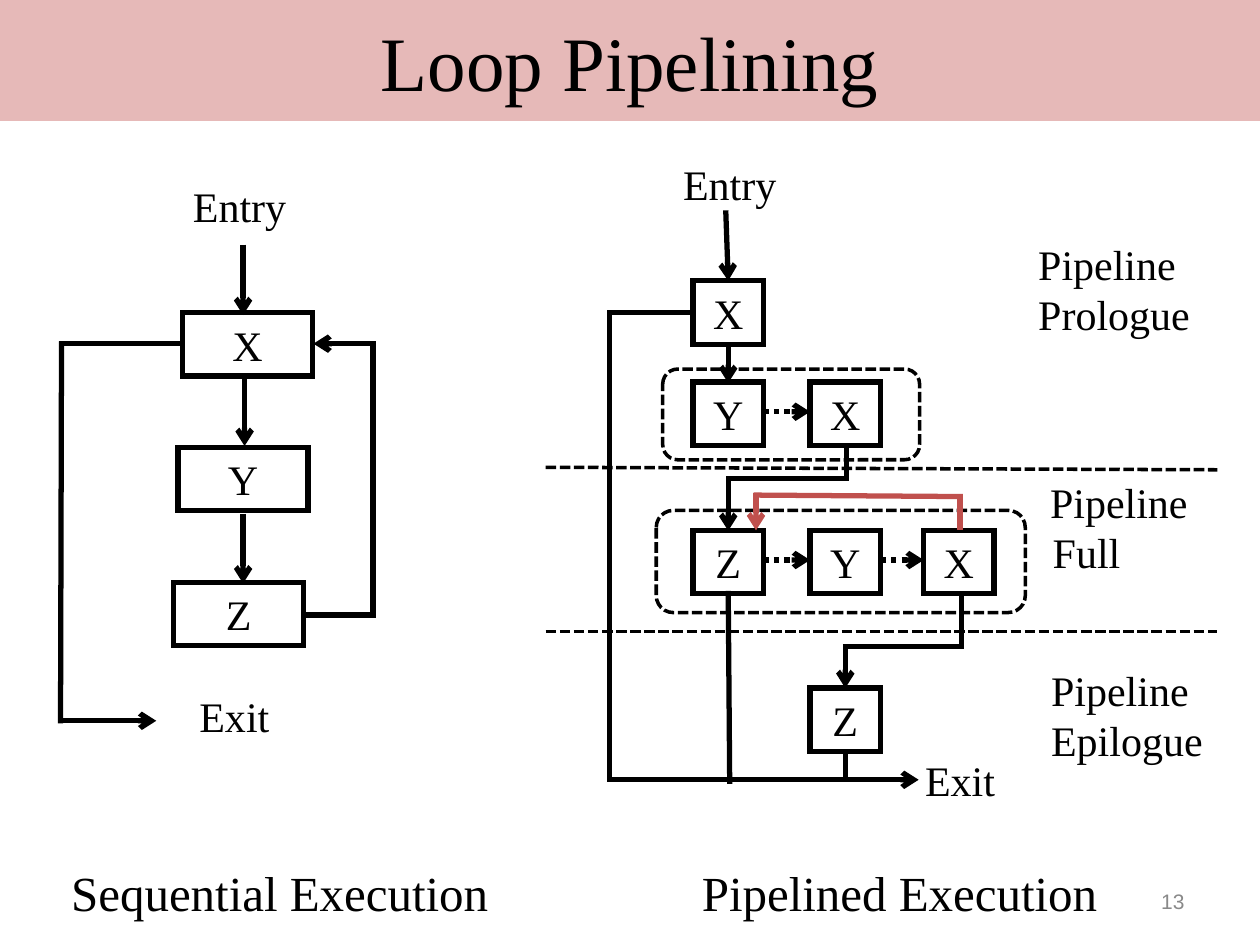
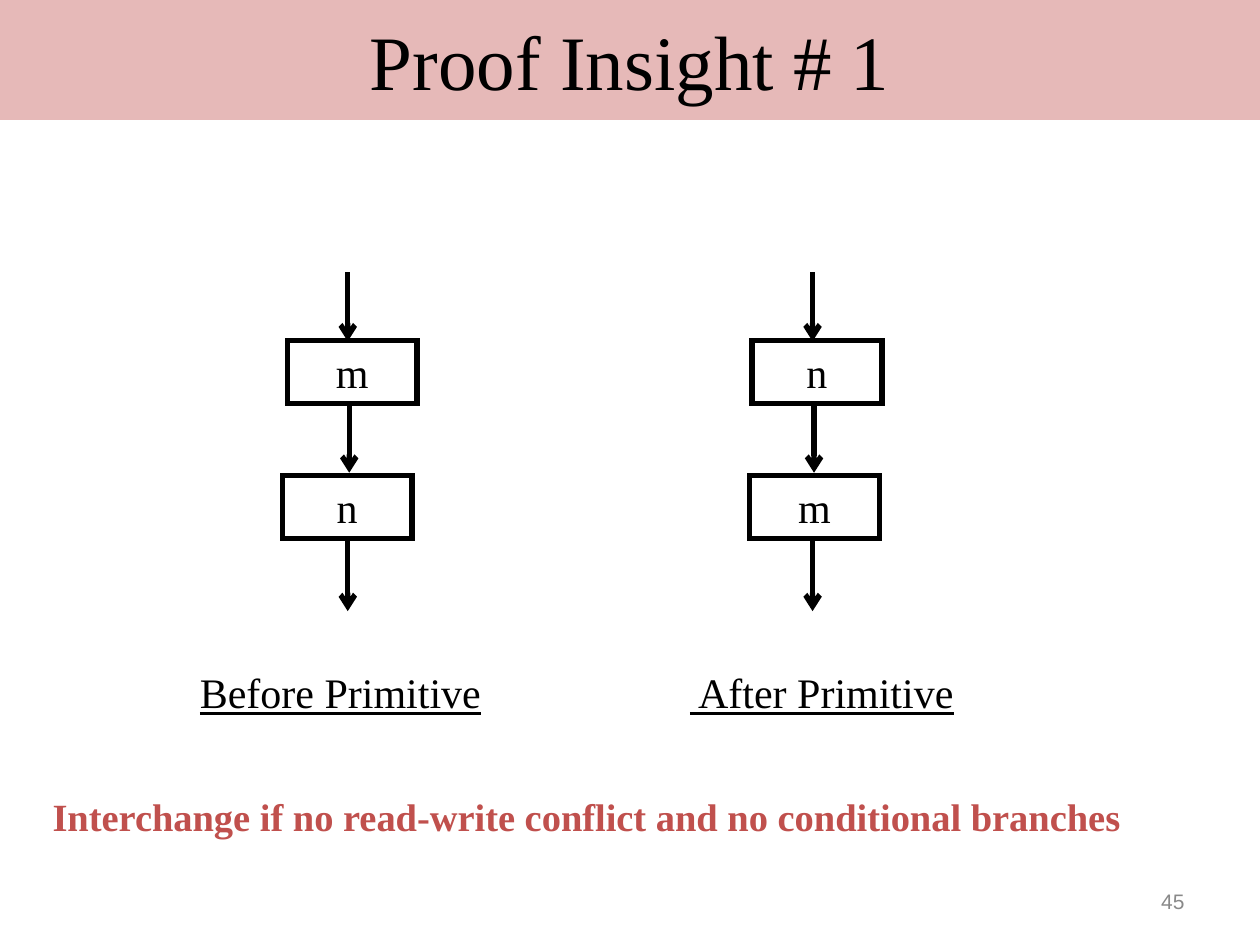
import pptx
import pptx.util
import pptx.dml.color
import pptx.enum.dml
import pptx.enum.shapes
import pptx.enum.text
import pptx.oxml.ns
import lxml.etree

Cm = pptx.util.Cm
Pt = pptx.util.Pt
RGBColor = pptx.dml.color.RGBColor
SHAPE = pptx.enum.shapes.MSO_SHAPE
CONNECTOR = pptx.enum.shapes.MSO_CONNECTOR
ANCHOR = pptx.enum.text.MSO_ANCHOR
ALIGN = pptx.enum.text.PP_ALIGN
DASH = pptx.enum.dml.MSO_LINE.SQUARE_DOT
DOT = pptx.enum.dml.MSO_LINE.ROUND_DOT
qualified = pptx.oxml.ns.qn

BLACK = RGBColor(0, 0, 0)
RED = RGBColor(0xC0, 0x50, 0x4D)
GREY = RGBColor(0x89, 0x89, 0x89)
BAND = RGBColor(0xE6, 0xB9, 0xB8)
SERIF = "Times New Roman"
SANS = "Arial"


def write(box, text, size=24, font=SERIF, color=BLACK, align=ALIGN.LEFT,
          anchor=ANCHOR.TOP, margins=(0.13, 0.05), bold=False, underline=False):
    frame = box.text_frame
    frame.text = text
    frame.word_wrap = True
    frame.auto_size = pptx.enum.text.MSO_AUTO_SIZE.NONE
    frame.vertical_anchor = anchor
    frame.margin_left = frame.margin_right = Cm(margins[0])
    frame.margin_top = frame.margin_bottom = Cm(margins[1])
    for para in frame.paragraphs:
        para.alignment = align
        for span in para.runs:
            span.font.size = Pt(size)
            span.font.name = font
            span.font.color.rgb = color
            span.font.bold = bold
            span.font.underline = underline


def draw_line(page, x1, y1, x2, y2, arrow=False, color=BLACK, width=3, dash=None, bend=None):
    kind = CONNECTOR.STRAIGHT if bend is None else CONNECTOR.ELBOW
    line = page.shapes.add_connector(kind, Cm(x1), Cm(y1), Cm(x2), Cm(y2))
    line.line.color.rgb = color
    line.line.width = Pt(width)
    if dash is not None:
        line.line.dash_style = dash
    outline = line.line._get_or_add_ln()
    lxml.etree.SubElement(outline, qualified("a:miter"), lim="800000")
    if arrow:
        lxml.etree.SubElement(outline, qualified("a:tailEnd"), type="arrow")
    properties = line._element.spPr
    lxml.etree.SubElement(properties, qualified("a:effectLst"))
    if bend is not None:
        guides = properties.find(qualified("a:prstGeom")).get_or_add_avLst()
        lxml.etree.SubElement(guides, qualified("a:gd"), name="adj1",
                              fmla=f"val {round(bend * 100000)}")
    return line


deck = pptx.Presentation()
deck.slide_width = Cm(25.4)
deck.slide_height = Cm(19.05)

pages = []
for title, number, top in [("Loop Pipelining", "13", 0), ("Proof Insight # 1", "45", -0.02)]:
    page = deck.slides.add_slide(deck.slide_layouts[5])
    band = page.shapes.title
    band.left, band.top, band.width, band.height = Cm(0), Cm(top), Cm(25.4), Cm(2.44)
    band.fill.solid()
    band.fill.fore_color.rgb = BAND
    write(band, title, 44, align=ALIGN.CENTER, anchor=ANCHOR.MIDDLE, margins=(0.25, 0.13))
    box = page.shapes.add_textbox(Cm(18.21), Cm(17.65), Cm(5.92), Cm(1.02))
    write(box, number, 12, SANS, GREY, ALIGN.RIGHT, ANCHOR.MIDDLE, (0.25, 0.13))
    pages.append(page)
loop_page, proof_page = pages

sequential = [(loop_page, name, 3.68 - 0.09 * row, 6.3 + 2.72 * row, 2.62)
              for row, name in enumerate("XYZ")]
columns = [13.97, 16.33, 18.62]
pipelined = [(loop_page, name, columns[column], top, 1.42)
             for name, column, top in [("X", 0, 5.66), ("Y", 0, 7.7), ("X", 1, 7.7),
                                       ("Z", 0, 10.69), ("Y", 1, 10.69), ("X", 2, 10.69),
                                       ("Z", 1, 13.87)]]
primitives = [(proof_page, "m", 5.79, 6.86, 2.62), (proof_page, "n", 5.69, 9.58, 2.62),
              (proof_page, "n", 15.16, 6.86, 2.62), (proof_page, "m", 15.11, 9.58, 2.62)]
for page, name, left, top, width in sequential + pipelined + primitives:
    node = page.shapes.add_shape(SHAPE.RECTANGLE, Cm(left), Cm(top), Cm(width), Cm(1.28))
    node.shadow.inherit = False
    node.fill.background()
    node.line.color.rgb = BLACK
    node.line.width = Pt(3)
    lxml.etree.SubElement(node.line._get_or_add_ln(), qualified("a:miter"), lim="800000")
    write(node, name, align=ALIGN.CENTER, anchor=ANCHOR.MIDDLE)

for left, top, width, height in [(13.36, 7.44, 5.18, 1.83), (13.23, 10.29, 7.44, 2.06)]:
    stage = loop_page.shapes.add_shape(SHAPE.ROUNDED_RECTANGLE,
                                       Cm(left), Cm(top), Cm(width), Cm(height))
    stage.shadow.inherit = False
    stage.fill.background()
    stage.line.color.rgb = BLACK
    stage.line.width = Pt(2)
    stage.line.dash_style = DASH

for text, left, top, width, height in [
    ("Entry", 3.76, 3.58, 2.44, 1.14),
    ("Exit", 3.89, 13.87, 4.11, 1.14),
    ("Entry", 13.64, 3.15, 3.18, 1.14),
    ("Exit", 18.52, 15.16, 2.24, 1.14),
    ("Pipeline Prologue", 20.8, 4.75, 3.94, 2.16),
    ("Pipeline\n Full", 20.88, 9.55, 3.35, 2.16),
    ("Pipeline Epilogue", 21.06, 13.34, 3.51, 2.16),
]:
    box = loop_page.shapes.add_textbox(Cm(left), Cm(top), Cm(width), Cm(height))
    write(box, text)
    if "\n" in text:
        box.text_frame.paragraphs[0].alignment = ALIGN.CENTER

for text, left, width in [("Sequential Execution", 0.18, 10.92),
                          ("Pipelined Execution", 13.13, 10.01)]:
    box = loop_page.shapes.add_textbox(Cm(left), Cm(17.25), Cm(width), Cm(1.45))
    write(box, text, 28, align=ALIGN.CENTER, anchor=ANCHOR.BOTTOM, margins=(0.25, 0.13))

for x, y1, y2 in [(4.9, 4.93, 6.35), (4.93, 7.57, 8.99), (4.9, 10.36, 11.76),
                  (14.68, 6.96, 7.72), (17.04, 13.03, 13.87)]:
    draw_line(loop_page, x, y1, x, y2, arrow=True)
draw_line(loop_page, 14.63, 4.24, 14.68, 5.66, arrow=True)
draw_line(loop_page, 1.17, 14.53, 3.15, 14.53, arrow=True)

for ends in [(1.19, 6.93, 3.68, 6.93), (1.24, 6.88, 1.22, 14.58), (14.68, 11.91, 14.71, 15.8),
             (17.04, 15.16, 17.04, 15.77), (16.99, 13.03, 19.43, 13.03),
             (19.38, 11.94, 19.38, 13.06)]:
    draw_line(loop_page, *ends)

for y1, y2 in [(9.42, 9.47), (12.73, 12.73)]:
    draw_line(loop_page, 11, y1, 24.54, y2, width=2, dash=DASH)

for x1, x2, y in [(15.39, 16.33, 8.3), (15.39, 16.33, 11.29), (17.75, 18.62, 11.29)]:
    draw_line(loop_page, x1, y, x2, y, arrow=True, dash=DOT)

draw_line(loop_page, 15.24, 9.93, 15.24, 10.69, arrow=True, color=RED)
draw_line(loop_page, 15.19, 9.98, 19.41, 10.01, color=RED)
draw_line(loop_page, 19.35, 9.96, 19.35, 10.69, color=RED)

draw_line(loop_page, 6.12, 12.4, 6.32, 6.93, arrow=True, bend=7)
draw_line(loop_page, 13.97, 6.3, 18.52, 15.72, arrow=True, bend=-0.37)
turned = draw_line(loop_page, 15.01, 8.64, 16.74, 11.03, arrow=True, bend=0.39)
turned._element.spPr.find(qualified("a:xfrm")).set("rot", "5400000")

for x in [7.01, 16.38]:
    for shift, y1, y2 in [(0, 5.49, 6.88), (0.03, 8.1, 9.53), (0, 10.9, 12.32)]:
        draw_line(proof_page, x + shift, y1, x + shift, y2, arrow=True)

for text, left, width in [("Before Primitive", 3.78, 6.71), (" After Primitive", 13.66, 6.15)]:
    box = proof_page.shapes.add_textbox(Cm(left), Cm(13.31), Cm(width), Cm(1.27))
    write(box, text, margins=(0.25, 0.13), underline=True)

box = proof_page.shapes.add_textbox(Cm(0.81), Cm(15.85), Cm(23.88), Cm(1.19))
write(box, "Interchange if no read-write conflict and no conditional branches", 22,
      color=RED, margins=(0.25, 0.13), bold=True)

deck.save("out.pptx")
